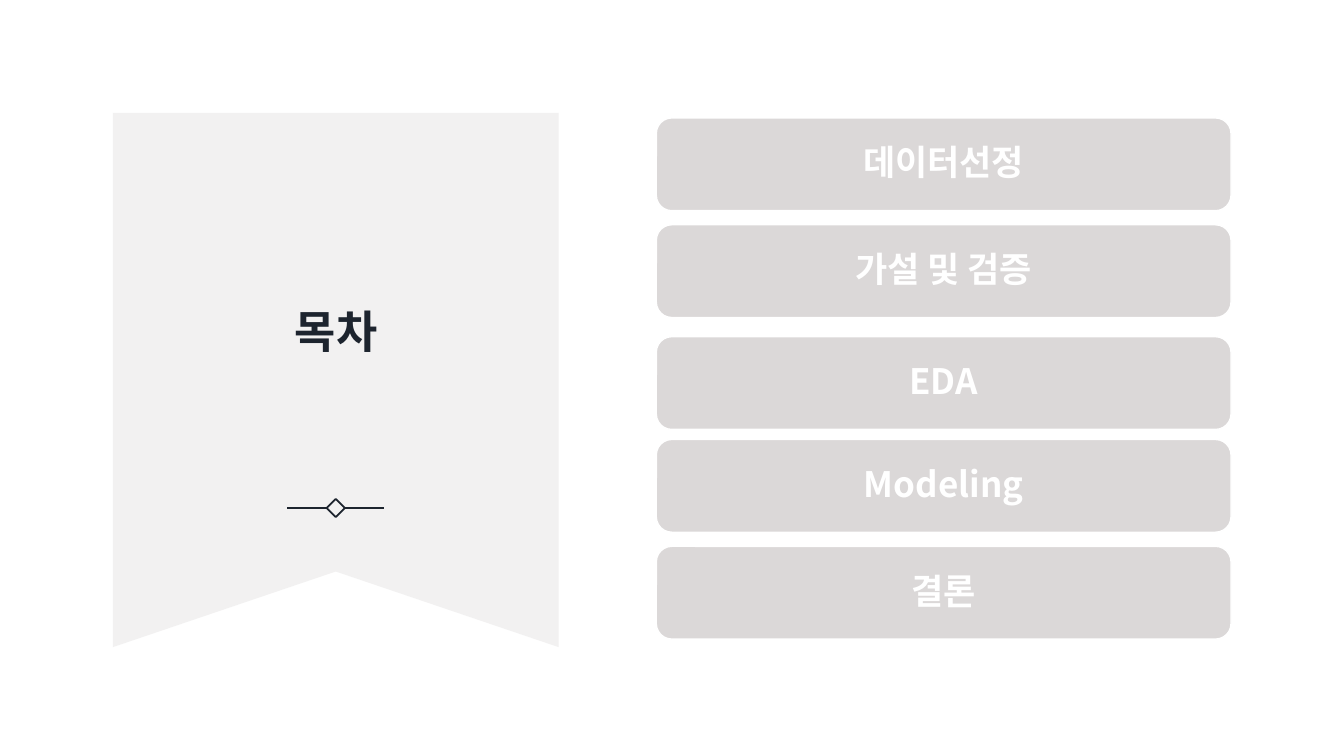
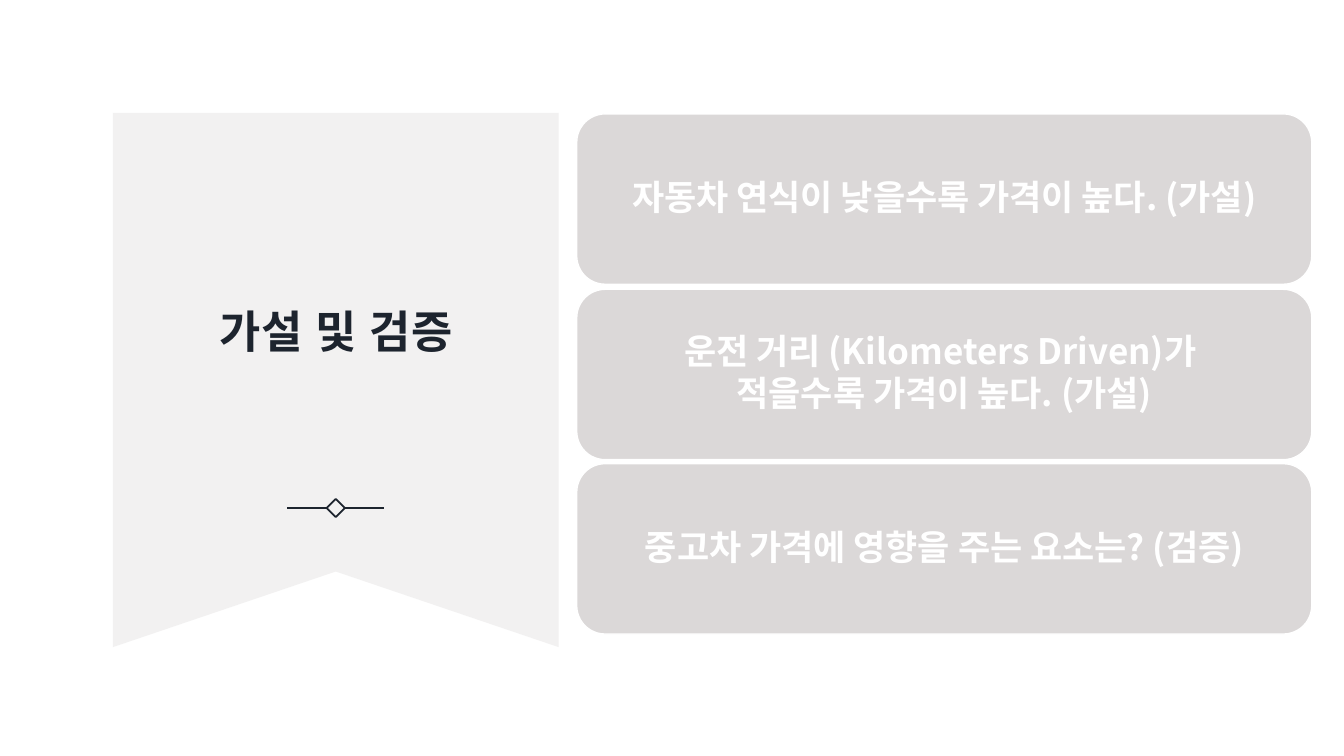
"""Build a contents slide and a hypothesis slide that share a ribbon panel."""
from dataclasses import dataclass

from lxml.etree import SubElement
from pptx import Presentation
from pptx.dml.color import RGBColor
from pptx.enum.shapes import MSO_CONNECTOR, MSO_SHAPE
from pptx.enum.text import MSO_ANCHOR, MSO_AUTO_SIZE, PP_ALIGN
from pptx.oxml.ns import qn
from pptx.slide import Slide
from pptx.text.text import TextFrame
from pptx.util import Inches, Pt

FONT = "Noto Sans CJK KR"
HEX = {"panel": "F2F1F1", "card": "DBD8D8", "ink": "1D242E", "white": "FFFFFF"}
RIBBON = [(1.12, 1.12), (5.54, 1.12), (5.54, 6.42), (3.33, 5.67), (1.12, 6.42)]
MID_X, MID_Y, GEM, REACH = 3.33, 5.04, 0.18, 0.48


@dataclass
class Card:
    top: float
    text: str


@dataclass
class Page:
    title: str
    left: float
    width: float
    height: float
    inset: float
    cards: list[Card]


PAGES = [
    Page("목차", 6.51, 5.7, 0.92, 0.15, [
        Card(1.17, "데이터선정"),
        Card(2.23, "가설 및 검증"),
        Card(3.34, "EDA"),
        Card(4.36, "Modeling"),
        Card(5.42, "결론"),
    ]),
    Page("가설 및 검증", 5.72, 7.29, 1.69, 0.18, [
        Card(1.13, "자동차 연식이 낮을수록 가격이 높다. (가설)"),
        Card(2.87, "운전 거리 (Kilometers Driven)가 \n적을수록 가격이 높다. (가설)"),
        Card(4.6, "중고차 가격에 영향을 주는 요소는? (검증)"),
    ]),
]


def color(name: str) -> RGBColor:
    return RGBColor.from_string(HEX[name])


def write(frame: TextFrame, text: str, *, size: float, ink: str, inset: float,
          lead: float, after: float = 0, track: int = 0) -> None:
    frame.text = text
    frame.word_wrap = True
    frame.auto_size = MSO_AUTO_SIZE.NONE
    frame.vertical_anchor = MSO_ANCHOR.MIDDLE
    frame.margin_left = frame.margin_right = Inches(inset)
    frame.margin_top = frame.margin_bottom = Inches(inset)
    for para in frame.paragraphs:
        para.alignment = PP_ALIGN.CENTER
        para.line_spacing = lead
        para.space_before, para.space_after = Pt(0), Pt(after)
        for run in para.runs:
            font = run.font
            font.name, font.size, font.bold = FONT, Pt(size), True
            font.color.rgb = color(ink)
            props = run.font._element
            props.set("spc", str(track))
            SubElement(props, qn("a:ea"), typeface=FONT)


def add_title(slide: Slide, text: str) -> None:
    title = slide.shapes.title
    title.left, title.top = Inches(1.56), Inches(1.81)
    title.width, title.height = Inches(3.55), Inches(2.85)
    write(title.text_frame, text, size=32, ink="ink", inset=0.12, lead=1.13, track=90)
    title.text_frame.margin_bottom = Inches(0.1)


def add_ribbon(slide: Slide) -> None:
    points = [(Inches(x), Inches(y)) for x, y in RIBBON]
    path = slide.shapes.build_freeform(*points[0])
    path.add_line_segments(points[1:], close=True)
    ribbon = path.convert_to_shape()
    ribbon.shadow.inherit = False
    ribbon.fill.solid()
    ribbon.fill.fore_color.rgb = color("panel")
    ribbon.line.fill.background()
    slide.shapes.title.element.addprevious(ribbon.element)


def add_mark(slide: Slide) -> None:
    gem = slide.shapes.add_shape(
        MSO_SHAPE.DIAMOND, Inches(MID_X - GEM / 2), Inches(MID_Y - GEM / 2),
        Inches(GEM), Inches(GEM))
    gem.shadow.inherit = False
    gem.fill.background()
    marks = [gem]
    for side in (-1, 1):
        rule = slide.shapes.add_connector(
            MSO_CONNECTOR.STRAIGHT, Inches(MID_X + side * GEM / 2), Inches(MID_Y),
            Inches(MID_X + side * REACH), Inches(MID_Y))
        SubElement(rule.element.spPr, qn("a:effectLst"))
        marks.append(rule)
    for mark in marks:
        mark.line.color.rgb = color("ink")
        mark.line.width = Pt(1.25)


def add_card(slide: Slide, page: Page, card: Card) -> None:
    box = slide.shapes.add_shape(
        MSO_SHAPE.ROUNDED_RECTANGLE, Inches(page.left), Inches(card.top),
        Inches(page.width), Inches(page.height))
    box.shadow.inherit = False
    box.fill.solid()
    box.fill.fore_color.rgb = color("card")
    box.line.color.rgb = color("white")
    box.line.width = Pt(1)
    write(box.text_frame, card.text, size=25, ink="white", inset=page.inset,
          lead=0.9, after=3)


def main() -> None:
    deck = Presentation()
    deck.slide_width, deck.slide_height = Inches(13.33), Inches(7.5)
    layout = deck.slide_layouts.get_by_name("Title Only")
    for page in PAGES:
        slide = deck.slides.add_slide(layout)
        add_title(slide, page.title)
        add_ribbon(slide)
        add_mark(slide)
        for card in page.cards:
            add_card(slide, page, card)
    deck.save("out.pptx")


if __name__ == "__main__":
    main()
